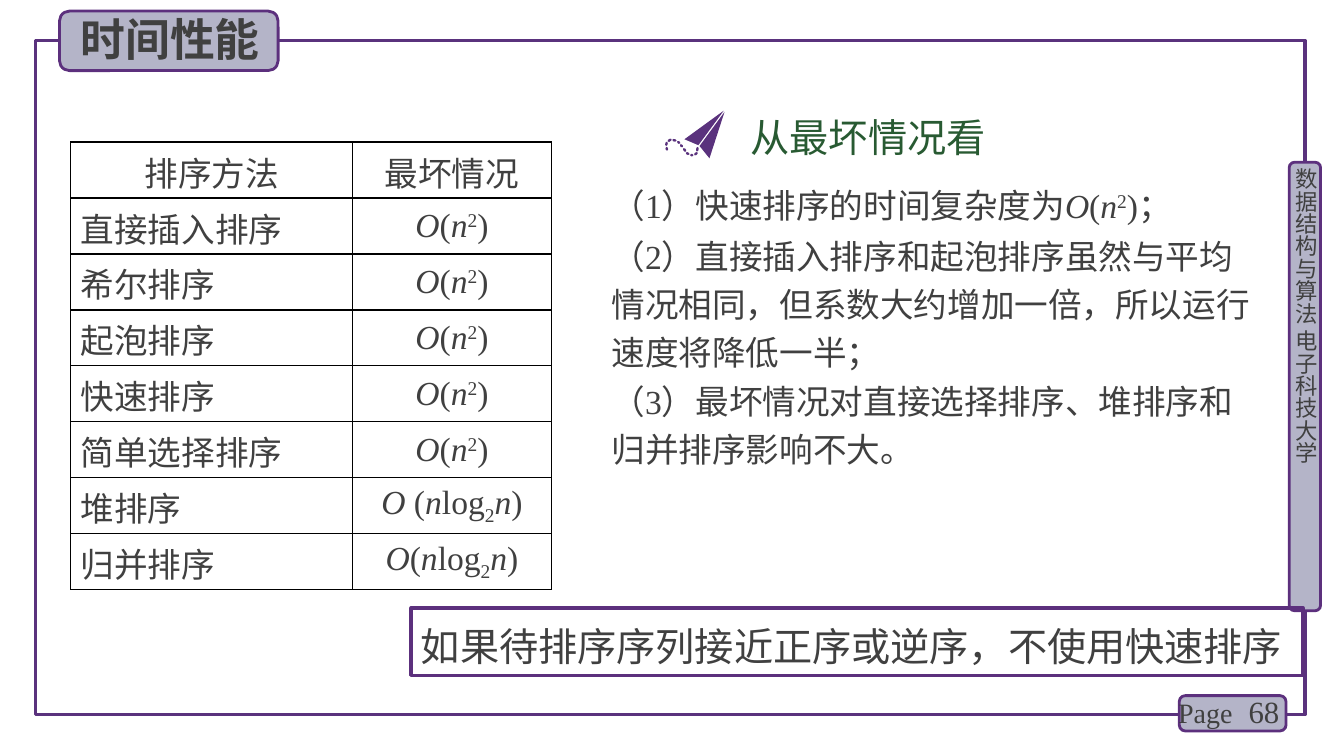
from math import hypot

from lxml.etree import SubElement
from pptx import Presentation
from pptx.dml.color import RGBColor as RGB
from pptx.enum.shapes import MSO_SHAPE as SHAPE
from pptx.enum.text import MSO_ANCHOR as ANCHOR, MSO_AUTO_SIZE as FIT, PP_ALIGN as ALIGN
from pptx.oxml.ns import qn
from pptx.util import Cm, Pt

# ---- Content ----
TITLE = "时间性能"
COURSE = "数据结构与算法 电子科技大学"
PAGE_LABEL, PAGE_NUMBER = "Page", "68"
HEADING = "从最坏情况看"
CONCLUSION = "如果待排序序列接近正序或逆序，不使用快速排序"

# Runs are (text, style) pairs
SQUARE = [("O", "italic"), ("(", ""), ("n", "italic"), ("2", "super"), (")", "")]
N_LOG_N = [("(", ""), ("n", "italic"), ("log", ""), ("2", "sub"), ("n", "italic"), (")", "")]
METHODS = [
    ("排序方法", [("最坏情况", "")]),
    ("直接插入排序", SQUARE),
    ("希尔排序", SQUARE),
    ("起泡排序", SQUARE),
    ("快速排序", SQUARE),
    ("简单选择排序", SQUARE),
    ("堆排序", [("O ", "italic")] + N_LOG_N),
    ("归并排序", [("O", "italic")] + N_LOG_N),
]
NOTES = [  # runs, top, height
    ([("（1）快速排序的时间复杂度为", "")] + SQUARE[:-1] + [(")；", "")], 4.34, 1.37),
    ([("（2）直接插入排序和起泡排序虽然与平均情况相同，"
       "但系数大约增加一倍，所以运行速度将降低一半；", "")], 5.61, 3.96),
    ([("（3）最坏情况对直接选择排序、堆排序和归并排序影响不大。", "")], 9.27, 2.62),
]

# ---- Theme ----
THEME = {
    "purple": RGB(0x5A, 0x32, 0x7D), "edge": RGB(0x5C, 0x30, 0x7D),
    "lilac": RGB(0xB4, 0xB4, 0xC8), "ink": RGB(0x40, 0x40, 0x40),
    "green": RGB(0x28, 0x5A, 0x32), "grid": "000000",
    "serif": "Times New Roman", "sans": "Noto Sans CJK SC",
    "title": 32, "heading": 28, "body": 24, "number": 22, "page": 20, "course": 16,
    "frame_line": 2.25, "tab_line": 2, "grid_line": 1, "spacing": 1.2,
}
BASELINE = {"super": "30000", "sub": "-25000"}

# ---- Places in centimetres: left, top, width, height ----
FRAME = (0.89, 1.02, 32, 16.99)
COURSE_TAB, COURSE_TEXT = (32.49, 4.09, 0.79, 11.3), (32.56, 4.24, 0.69, 11.4)
PAGE_TAB, PAGE_TEXT = (29.72, 17.53, 2.69, 0.89), (29.44, 17.4, 3.25, 1.12)
NUMBER_TEXT = (30.15, 17.42, 2.34, 1.02)
TITLE_TAB, TITLE_TEXT = (1.5, 0.28, 5.51, 1.5), (1.78, 0.18, 5.33, 1.63)
HEADING_TEXT = (18.67, 2.72, 6.5, 1.45)
CONCLUSION_BOX = (10.36, 15.32, 22.48, 1.7)
NOTE_LEFT, NOTE_WIDTH = 15.16, 16.94
TABLE_LEFT, TABLE_TOP = 1.78, 3.58
COLUMN_WIDTHS, ROW_HEIGHT = (7.11, 5), 1.41
WINGS = [
    [(18.26, 2.82), (17.88, 3.99), (17.63, 3.68)],
    [(18.24, 2.79), (17.6, 3.66), (17.25, 3.51)],
]
TRAIL = [  # centre line of each dash
    (17.58, 3.73, 17.57, 3.79), (17.56, 3.86, 17.52, 3.89), (17.42, 3.91, 17.45, 3.91),
    (17.31, 3.86, 17.35, 3.88), (17.24, 3.76, 17.27, 3.8), (17.16, 3.66, 17.19, 3.69),
    (17.09, 3.58, 17.12, 3.6), (16.97, 3.53, 17.02, 3.54), (16.85, 3.55, 16.9, 3.52),
    (16.8, 3.73, 16.81, 3.77), (16.8, 3.6, 16.79, 3.65),
]
DASH_RADIUS = 0.03


def apply(target, values):
    for name, value in values.items():
        setattr(target, name, value)


def place(box):
    return [Cm(length) for length in box]


def write(frame, runs, size, font="serif", color="ink", bold=False, **paragraph_format):
    paragraph = frame.paragraphs[0]
    apply(paragraph, paragraph_format)
    for text, style in runs:
        run = paragraph.add_run()
        run.text = text
        apply(run.font, {"name": THEME[font], "size": Pt(THEME[size]),
                         "bold": bold, "italic": style == "italic"})
        run.font.color.rgb = THEME[color]
        properties = run.font._element
        if style in BASELINE:
            properties.set("baseline", BASELINE[style])
        SubElement(properties, qn("a:ea")).set("typeface", THEME["sans"])


def add_text(shapes, box, runs, size, frame_format=None, **text_format):
    frame = shapes.add_textbox(*place(box)).text_frame
    apply(frame, {"word_wrap": True, "auto_size": FIT.SHAPE_TO_FIT_TEXT, **(frame_format or {})})
    write(frame, runs, size, **text_format)
    return frame


def add_box(shapes, kind, box, line, width, fill=None):
    shape = shapes.add_shape(kind, *place(box))
    shape.shadow.inherit = False
    if fill:
        shape.fill.solid()
        shape.fill.fore_color.rgb = THEME[fill]
    else:
        shape.fill.background()
    shape.line.color.rgb = THEME[line]
    shape.line.width = Pt(THEME[width])
    return shape


def add_tab(shapes, box):
    return add_box(shapes, SHAPE.ROUNDED_RECTANGLE, box, "edge", "tab_line", "lilac")


def add_outline(shapes, points):
    corners = [(Cm(x), Cm(y)) for x, y in points]
    builder = shapes.build_freeform(*corners[0])
    builder.add_line_segments(corners[1:], close=True)
    shape = builder.convert_to_shape()
    shape.shadow.inherit = False
    shape.fill.solid()
    shape.fill.fore_color.rgb = THEME["purple"]
    shape.line.fill.background()


def dash_points(x1, y1, x2, y2):
    """Six corners of a pointed dash around its centre line."""
    length = hypot(x2 - x1, y2 - y1)
    dx, dy = (DASH_RADIUS * d / length for d in (x2 - x1, y2 - y1))
    return [(x1 - dx, y1 - dy), (x1 - dy, y1 + dx), (x2 - dy, y2 + dx),
            (x2 + dx, y2 + dy), (x2 + dy, y2 - dx), (x1 + dy, y1 - dx)]


def add_borders(cell):
    properties = cell._tc.get_or_add_tcPr()
    for side in ("lnL", "lnR", "lnT", "lnB"):
        line = SubElement(properties, qn(f"a:{side}"), w=str(Pt(THEME["grid_line"])))
        fill = SubElement(line, qn("a:solidFill"))
        SubElement(fill, qn("a:srgbClr"), val=THEME["grid"])


def add_methods(shapes):
    table = shapes.add_table(len(METHODS), len(COLUMN_WIDTHS), *place(
        (TABLE_LEFT, TABLE_TOP, sum(COLUMN_WIDTHS), ROW_HEIGHT * len(METHODS)))).table
    apply(table, {"first_row": False, "horz_banding": False})
    for column, width in zip(table.columns, COLUMN_WIDTHS):
        column.width = Cm(width)
    for r, (method, worst) in enumerate(METHODS):
        table.rows[r].height = Cm(ROW_HEIGHT)
        for c, runs in enumerate(([(method, "")], worst)):
            cell = table.cell(r, c)
            add_borders(cell)
            cell.fill.background()
            cell.vertical_anchor = ANCHOR.MIDDLE
            align = ALIGN.JUSTIFY if r and not c else ALIGN.CENTER
            write(cell.text_frame, runs, "body", alignment=align)


def main():
    deck = Presentation()
    apply(deck, {"slide_width": Cm(33.87), "slide_height": Cm(19.05)})
    shapes = deck.slides.add_slide(deck.slide_layouts[6]).shapes

    # Frame, course tab and page tab
    add_box(shapes, SHAPE.RECTANGLE, FRAME, "purple", "frame_line")
    add_tab(shapes, COURSE_TAB)
    no_margins = dict.fromkeys(("margin_left", "margin_top", "margin_right", "margin_bottom"), 0)
    course = add_text(shapes, COURSE_TEXT, [(COURSE, "")], "course", no_margins, font="sans")
    course._txBody.bodyPr.set("vert", "eaVert")
    add_tab(shapes, PAGE_TAB)
    add_text(shapes, NUMBER_TEXT, [(PAGE_NUMBER, "")], "number",
             {"auto_size": FIT.NONE, "vertical_anchor": ANCHOR.MIDDLE}, alignment=ALIGN.RIGHT)
    add_text(shapes, PAGE_TEXT, [(PAGE_LABEL, "")], "page")

    # Title
    add_tab(shapes, TITLE_TAB)
    add_text(shapes, TITLE_TEXT, [(TITLE, "")], "title", font="sans", bold=True)

    # Worst-case table
    add_methods(shapes)

    # Heading with paper plane
    heading = shapes.add_group_shape().shapes
    for points in WINGS + [dash_points(*dash) for dash in TRAIL]:
        add_outline(heading, points)
    add_text(heading, HEADING_TEXT, [(HEADING, "")], "heading", {"word_wrap": False},
             font="sans", color="green")

    # Notes
    for runs, top, height in NOTES:
        add_text(shapes, (NOTE_LEFT, top, NOTE_WIDTH, height), runs, "body",
                 line_spacing=THEME["spacing"])

    # Conclusion
    conclusion = add_box(shapes, SHAPE.RECTANGLE, CONCLUSION_BOX, "edge", "frame_line").text_frame
    apply(conclusion, {"word_wrap": True, "auto_size": FIT.SHAPE_TO_FIT_TEXT,
                       "vertical_anchor": ANCHOR.TOP})
    write(conclusion, [(CONCLUSION, "")], "heading", alignment=ALIGN.LEFT,
          line_spacing=THEME["spacing"])

    deck.save("out.pptx")


if __name__ == "__main__":
    main()
